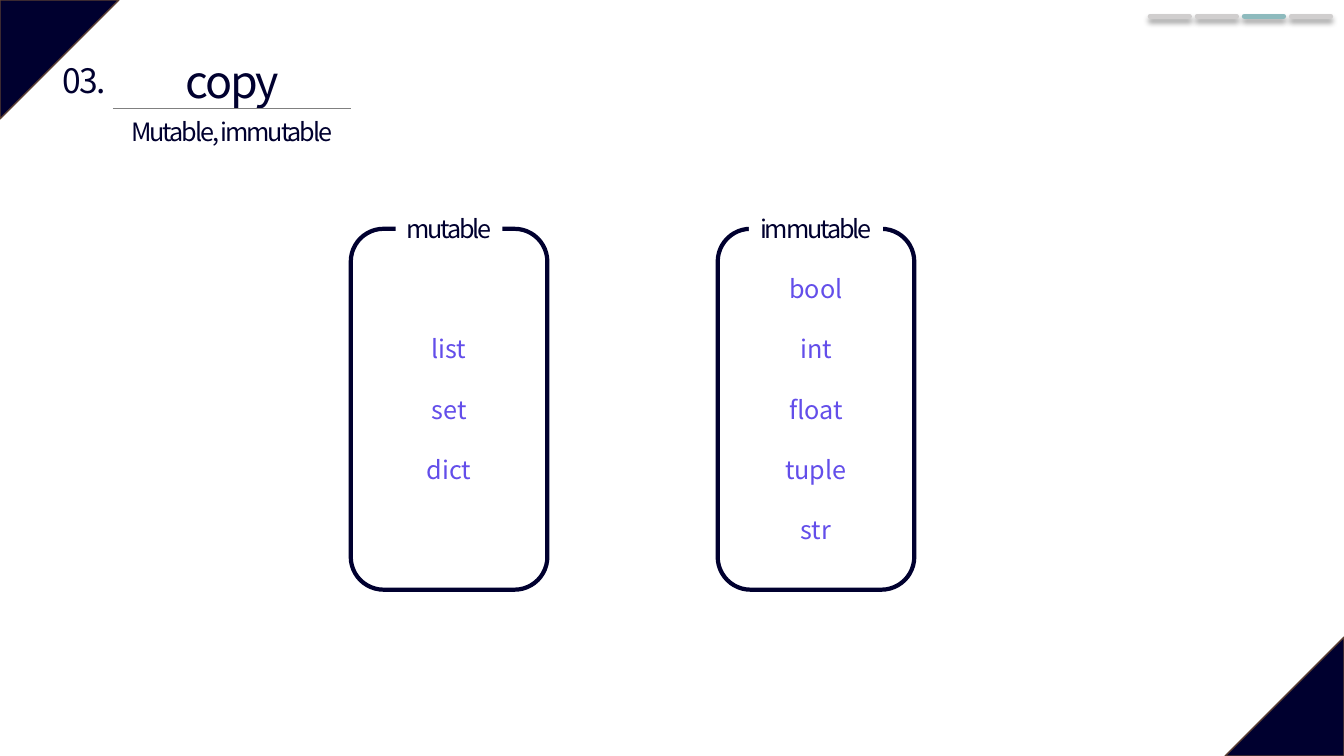
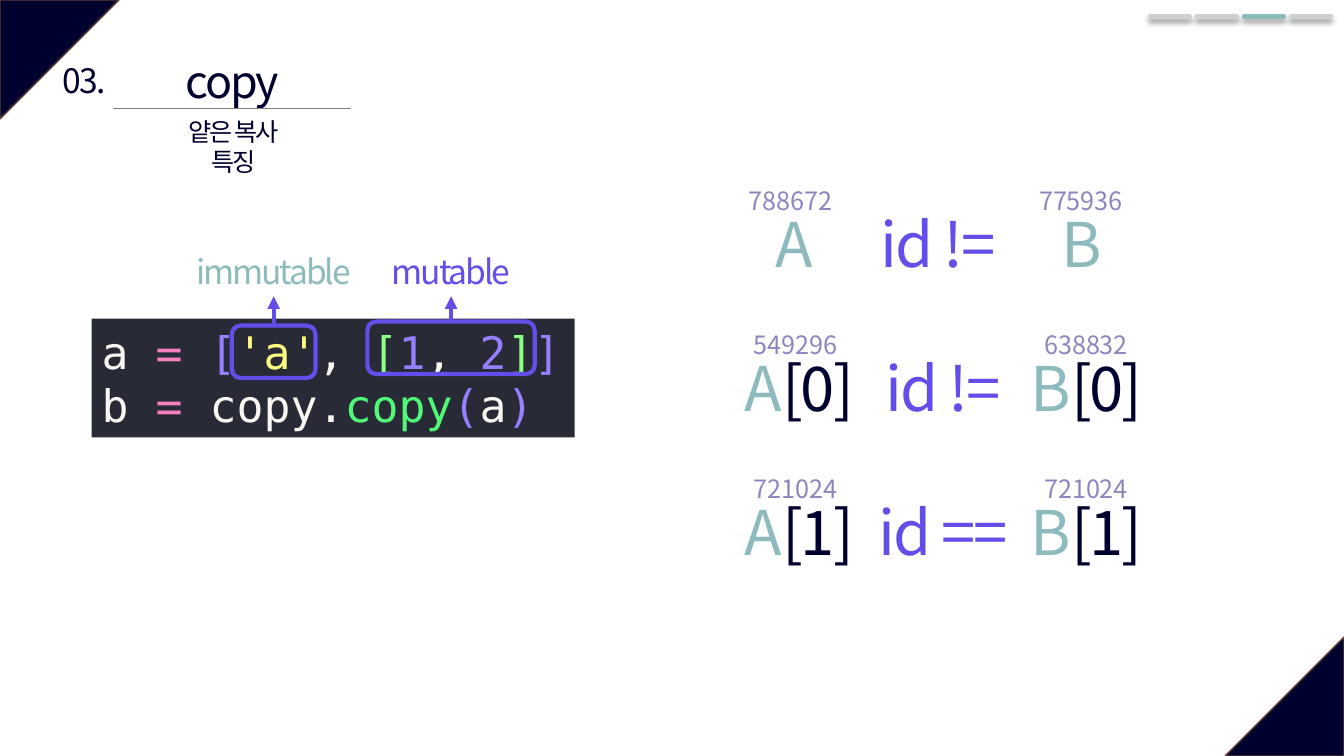
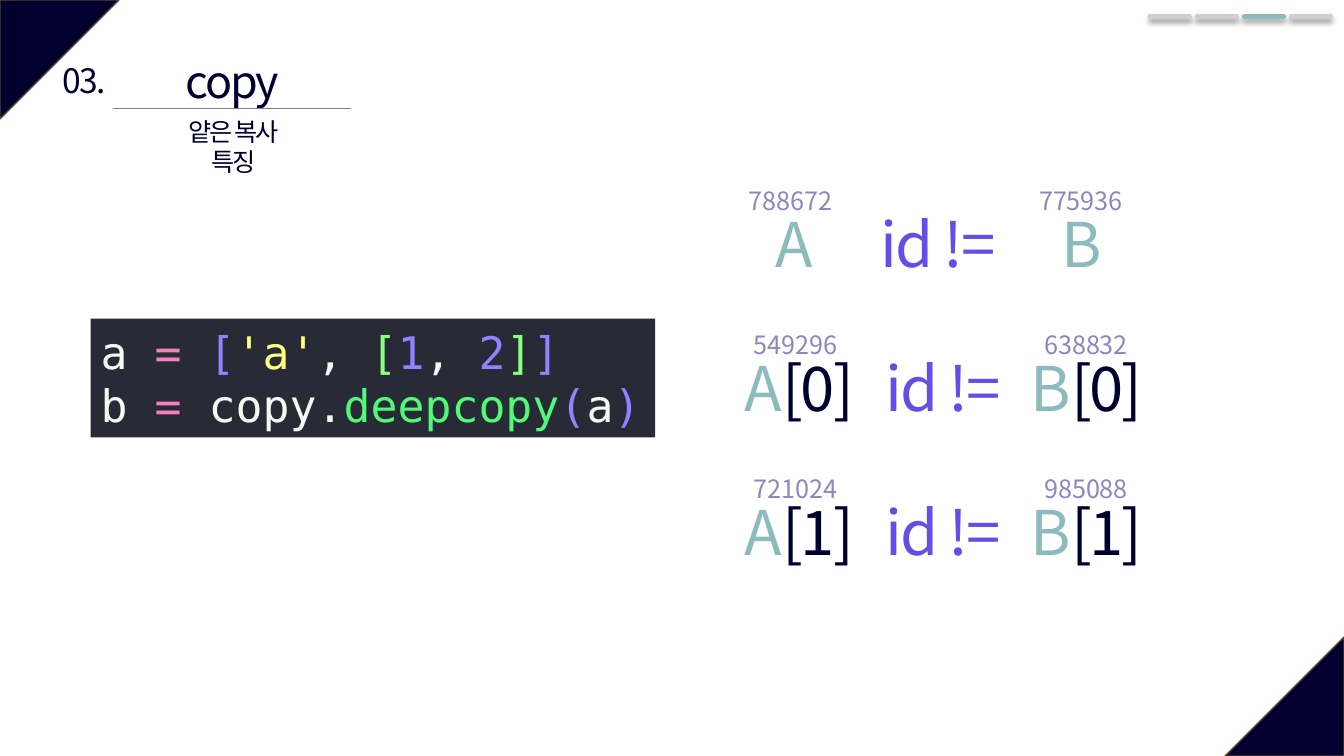
import pptx
import pptx.util
import pptx.dml.color
import pptx.enum.shapes
import pptx.enum.text
import pptx.oxml
import pptx.oxml.ns

Shape = pptx.enum.shapes.MSO_SHAPE
Align = pptx.enum.text.PP_ALIGN
Anchor = pptx.enum.text.MSO_ANCHOR
AutoSize = pptx.enum.text.MSO_AUTO_SIZE

# Every length is counted in square grid cells, ten to the inch
COLUMNS, ROWS = 133.33, 75
SANS, MONO = "Noto Sans CJK KR", "DejaVu Sans Mono"
TIGHT = -1.5
COLORS = {
    "navy": "00002F", "brown": "5B3F33", "white": "FFFFFF", "silver": "D0CECE",
    "gray": "808080", "teal": "8DBABD", "violet": "634EEA", "lilac": "8D85BD",
    "code_back": "282A36", "code_text": "F8F8F2", "code_sign": "F780BF",
    "code_purple": "9580FF", "code_yellow": "FEFF80", "code_green": "8AFF80",
    "code_call": "50FA78",
}


def cells(count):
    return pptx.util.Inches(count / 10)


def color(name):
    return pptx.dml.color.RGBColor.from_string(COLORS[name])


# Text
def write(frame, lines, size, align=Align.CENTER, font=SANS, spacing=0,
          wrap=False, grow=True, gap=0):
    """Fill a frame; each line is a list of (text, color name) spans."""
    frame.word_wrap = wrap
    frame.auto_size = AutoSize.SHAPE_TO_FIT_TEXT if grow else AutoSize.NONE
    for index, line in enumerate(lines):
        para = frame.add_paragraph() if index else frame.paragraphs[0]
        para.alignment = align
        para.space_before = pptx.util.Pt(gap if index else 0)
        for text, tint in line:
            span = para.add_run()
            span.text = text
            span.font.size = pptx.util.Pt(size)
            span.font.color.rgb = color(tint)
            span.font.name = font
            properties = span.font._element
            if spacing:
                properties.set("spc", str(int(spacing * 100)))
            east_asian = pptx.oxml.parse_xml(
                f'<a:ea {pptx.oxml.ns.nsdecls("a")} typeface="{font}"/>')
            properties.find(pptx.oxml.ns.qn("a:latin")).addnext(east_asian)


def add_text(shapes, at, lines, size, **style):
    box = shapes.add_textbox(*map(cells, at))
    write(box.text_frame, lines, size, **style)
    return box


# Shapes and lines
def add_box(shapes, kind, at, fill=None, line=None, weight=3):
    box = shapes.add_shape(kind, *map(cells, at))
    box.shadow.inherit = False
    if fill:
        box.fill.solid()
        box.fill.fore_color.rgb = color(fill)
    else:
        box.fill.background()
    if line:
        box.line.color.rgb = color(line)
        box.line.width = pptx.util.Pt(weight)
    else:
        box.line.fill.background()
    return box


def add_line(shapes, start, end, tint, weight, mark=False, arrow=False):
    """Draw a line; a mark has round ends and a soft shadow."""
    line = shapes.add_connector(
        pptx.enum.shapes.MSO_CONNECTOR.STRAIGHT, *map(cells, (*start, *end)))
    line.line.color.rgb = color(tint)
    line.line.width = pptx.util.Pt(weight)
    names = pptx.oxml.ns.nsdecls("a")
    outline = line.line._get_or_add_ln()
    if mark:
        outline.set("cap", "rnd")
    if arrow:
        outline.append(
            pptx.oxml.parse_xml(f'<a:tailEnd {names} type="triangle"/>'))
    effect = ('<a:outerShdw blurRad="50800" dist="38100" dir="5400000" '
              'algn="t" rotWithShape="0"><a:srgbClr val="000000">'
              '<a:alpha val="40000"/></a:srgbClr></a:outerShdw>')
    line._element.spPr.append(pptx.oxml.parse_xml(
        f'<a:effectLst {names}>{effect if mark else ""}</a:effectLst>'))
    return line


# Parts every slide shares
def add_page(deck, subtitle_lines, subtitle_at):
    page = deck.slides.add_slide(deck.slide_layouts[5])
    shapes = page.shapes

    # Corner triangles
    side = 11.8
    for left, top, turn in ((0, 0, 90), (COLUMNS - side, ROWS - side, 270)):
        corner = add_box(shapes, Shape.ISOSCELES_TRIANGLE,
                         (left, top, side, side), "navy", "brown", 1)
        corner.adjustments[0] = 0
        corner.rotation = turn

    # Progress marks: the third section is current
    for index in range(4):
        left = 114.1 + 4.67 * index
        add_line(shapes, (left, 1.6), (left + 3.9, 1.6),
                 "teal" if index == 2 else "silver", 3.5, mark=True)

    # Heading
    add_line(shapes, (11.2, 10.8), (34.8, 10.8), "gray", 0.5)
    title = shapes.title
    title.left, title.top, title.width, title.height = map(
        cells, (17.3, 4.8, 11.5, 6.4))
    title.text_frame.vertical_anchor = Anchor.TOP
    write(title.text_frame, [[("copy", "navy")]], 32, spacing=TIGHT, grow=False)
    add_text(shapes, (5, 5.5, 6.7, 5), [[("03.", "navy")]], 24, spacing=TIGHT)
    add_text(shapes, subtitle_at, [[(line, "navy")] for line in subtitle_lines],
             18, spacing=TIGHT)
    return page


# Rounded frame whose label interrupts the top edge
def add_type_list(page, left, label, label_width, names):
    shapes = page.shapes.add_group_shape().shapes
    width = 19.5
    frame = add_box(shapes, Shape.ROUNDED_RECTANGLE,
                    (left, 22.7, width, 35.8), line="navy")
    frame.text_frame.vertical_anchor = Anchor.MIDDLE
    write(frame.text_frame, [[(name, "violet")] for name in names], 18,
          wrap=True, grow=False, gap=21.5)
    tag = add_box(shapes, Shape.RECTANGLE,
                  (left + (width - label_width) / 2, 20.7, label_width, 4), "white")
    write(tag.text_frame, [[(label, "navy")]], 18, spacing=TIGHT)


# Code panel
def add_code(page, left, width, function):
    panel = add_box(page.shapes, Shape.RECTANGLE, (left, 31.6, width, 11.8),
                    "code_back")
    panel.text_frame.vertical_anchor = Anchor.MIDDLE
    lines = [
        [("a ", "code_text"), ("= ", "code_sign"), ("[", "code_purple"),
         ("'a'", "code_yellow"), (", ", "code_text"), ("[", "code_green"),
         ("1", "code_purple"), (", ", "code_text"), ("2", "code_purple"),
         ("]", "code_green"), ("]", "code_purple")],
        [("b ", "code_text"), ("= ", "code_sign"), ("copy.", "code_text"),
         (function, "code_call"), ("(", "code_purple"), ("a", "code_text"),
         (")", "code_purple")],
    ]
    write(panel.text_frame, lines, 32, align=Align.LEFT, font=MONO)


# Frame around a code element, with an arrow up to its label
def add_callout(page, center, top, width, label, label_width, tint):
    shapes = page.shapes.add_group_shape().shapes
    frame = add_box(shapes, Shape.ROUNDED_RECTANGLE,
                    (center - width / 2, top, width, 5.2), line="violet")
    caption = add_text(shapes, (center - label_width / 2, 24.4, label_width, 5),
                       [[(label, tint)]], 24, spacing=TIGHT)
    arrow = add_line(shapes, (center, top), (center, 29.4), "violet", 3, arrow=True)
    arrow.begin_connect(frame, 0)
    arrow.end_connect(caption, 2)


# Rows comparing the ids of A and B
def add_id_rows(page, rows):
    for index, (item, first_id, sign, second_id) in enumerate(rows):
        shapes = page.shapes.add_group_shape().shapes
        top = 19.9 + 14.3 * index
        shift = 0.5 if item else 0
        name_width = 14.4 if item else 6
        sign_width = 15.7 if sign == "==" else 13.8
        columns = (
            (78.8, name_width, [("A", "teal"), (item, "navy")]),
            (93.05, sign_width, [("id " + sign, "violet")]),
            (107.3, name_width, [("B", "teal"), (item, "navy")]),
        )
        for center, width, spans in columns:
            add_text(shapes, (center + shift - width / 2, top, width, 8.4),
                     [[span for span in spans if span[0]]], 44, spacing=TIGHT)
        for left, number in ((73.3, first_id), (102.1, second_id)):
            add_text(shapes, (left + shift, top - 2, 11.7, 4),
                     [[(number, "lilac")]], 18, align=Align.LEFT, wrap=True)


def main():
    deck = pptx.Presentation()
    deck.slide_width, deck.slide_height = cells(COLUMNS), cells(ROWS)

    # Slide 1: mutable and immutable types
    page = add_page(deck, ["Mutable, immutable"], (11.6, 11, 22.8, 4))
    add_type_list(page, 34.8, "mutable", 10.6, ("list", "set", "dict"))
    add_type_list(page, 71.2, "immutable", 13.3,
                  ("bool", "int", "float", "tuple", "str"))

    # Slides 2 and 3 compare the same ids up to the last row
    subtitle_lines, subtitle_at = ["얕은 복사", "특징"], (15.5, 11, 15.4, 7)
    id_rows = [("", "788672", "!=", "775936"), ("[0]", "549296", "!=", "638832")]

    # Slide 2: shallow copy
    page = add_page(deck, subtitle_lines, subtitle_at)
    add_code(page, 9.1, 47.9, "copy")
    add_callout(page, 27.15, 32.3, 8.3, "immutable", 17.7, "teal")
    add_callout(page, 44.75, 31.9, 16.6, "mutable", 14, "violet")
    add_id_rows(page, id_rows + [("[1]", "721024", "==", "721024")])

    # Slide 3: deep copy
    page = add_page(deck, subtitle_lines, subtitle_at)
    add_id_rows(page, id_rows + [("[1]", "721024", "!=", "985088")])
    add_code(page, 9, 56, "deepcopy")

    deck.save("out.pptx")


if __name__ == "__main__":
    main()
